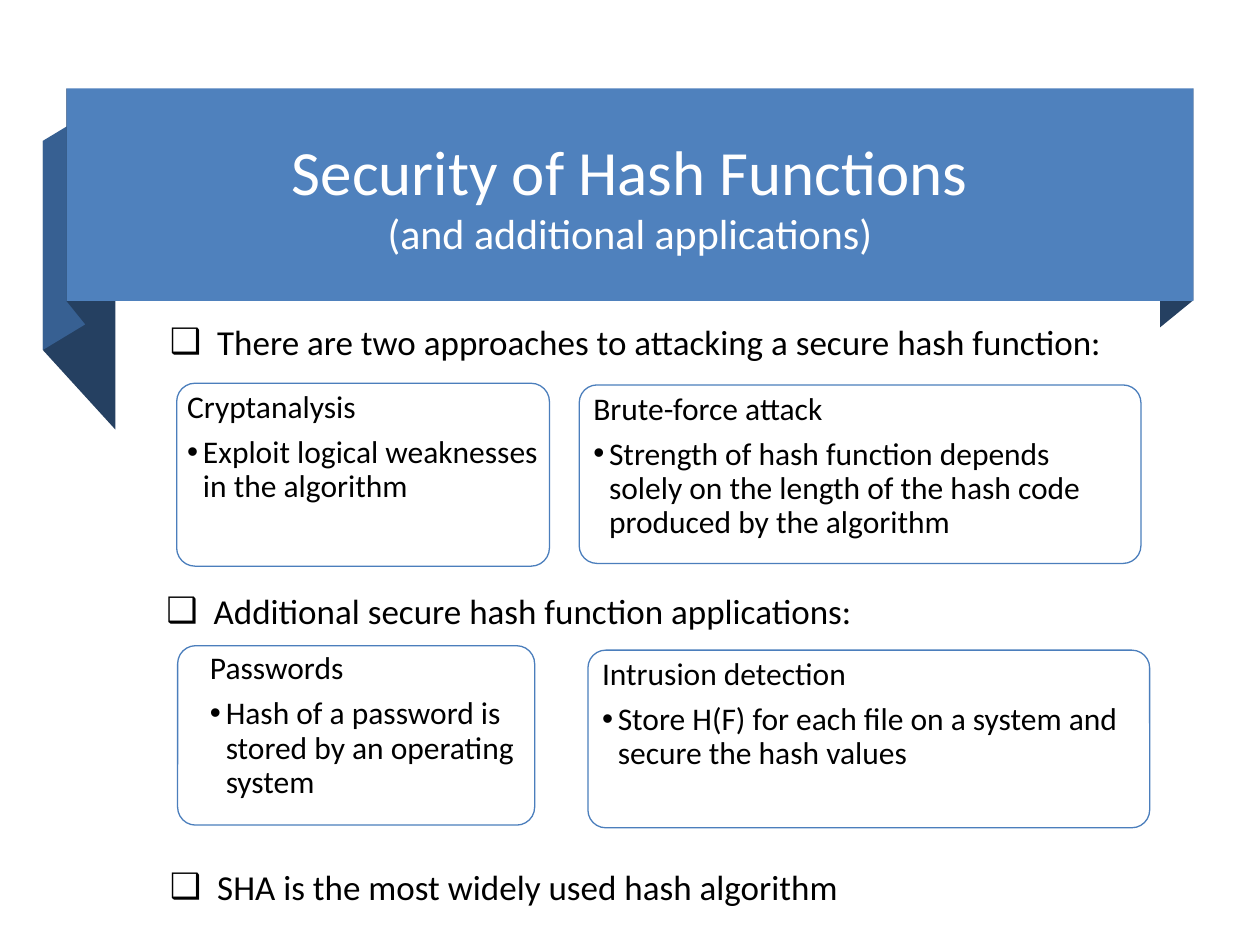
"""Build the slide on the security of hash functions."""
from dataclasses import dataclass

from lxml import etree
from pptx import Presentation
from pptx import util as u
from pptx.dml.color import RGBColor
from pptx.enum import shapes, text
from pptx.oxml.ns import qn


@dataclass(frozen=True)
class Theme:
    """Colours, font and type sizes of the slide."""
    font: str = "Calibri"
    banner: str = "4F81BD"
    fold: str = "376092"
    shade: str = "254061"
    outline: str = "4B7EBC"
    light: str = "FFFFFF"
    ink: str = "000000"
    title: float = 36
    subtitle: float = 24
    lead: float = 20
    card: float = 18


class Deck:
    """Draw styled elements on the current slide."""

    def __init__(self, prs, theme):
        """Keep the theme and add a title-only slide."""
        self.theme = theme
        self.s = prs.slides.add_slide(prs.slide_layouts[5])

    def paint(self, sp, fill, line=None):
        """Give a shape its fill and outline without shadow."""
        sp.shadow.inherit = False
        sp.fill.solid()
        sp.fill.fore_color.rgb = RGBColor.from_string(fill)
        if line:
            sp.line.color.rgb = RGBColor.from_string(line)
            sp.line.width = u.Pt(0.75)
        else:
            sp.line.fill.background()

    def style(self, r, size, color):
        """Set font, size and colour of a run."""
        r.font.name = self.theme.font
        r.font.size = u.Pt(size)
        r.font.color.rgb = RGBColor.from_string(color)

    def bullet(self, p, char, indent):
        """Add a hanging bullet to a paragraph."""
        pPr = p._p.get_or_add_pPr()
        pPr.set("marL", str(u.Pt(indent)))
        pPr.set("indent", str(-u.Pt(indent)))
        etree.SubElement(pPr, qn("a:buFont"), typeface="Arial")
        etree.SubElement(pPr, qn("a:buChar"), char=char)

    def ribbon(self, points, fill):
        """Draw one folded part of the ribbon."""
        path = [(u.Pt(x), u.Pt(y)) for x, y in points]
        builder = self.s.shapes.build_freeform(*path[0])
        builder.add_line_segments(path[1:], close=True)
        self.paint(builder.convert_to_shape(), fill)

    def banner(self, box):
        """Draw the front of the ribbon."""
        sp = self.s.shapes.add_shape(shapes.MSO_SHAPE.RECTANGLE, *map(u.Pt, box))
        self.paint(sp, self.theme.banner)

    def title(self, box, heading, subtitle):
        """Fill the title placeholder and bring it in front of the ribbon."""
        sp = self.s.shapes.title
        sp.left, sp.top, sp.width, sp.height = map(u.Pt, box)
        sp._element.getparent().append(sp._element)
        tf = sp.text_frame
        tf.text = f"{heading}\v{subtitle}"
        tf.auto_size = text.MSO_AUTO_SIZE.NONE
        tf.vertical_anchor = text.MSO_ANCHOR.MIDDLE
        p = tf.paragraphs[0]
        p.alignment = text.PP_ALIGN.CENTER
        for r, size in zip(p.runs, (self.theme.title, self.theme.subtitle)):
            self.style(r, size, self.theme.light)

    def lead(self, box, words):
        """Add a main point with a box bullet."""
        tf = self.s.shapes.add_textbox(*map(u.Pt, box)).text_frame
        tf.word_wrap = True
        tf.auto_size = text.MSO_AUTO_SIZE.SHAPE_TO_FIT_TEXT
        p = tf.paragraphs[0]
        p.text = words
        self.bullet(p, "❑", 27)
        self.style(p.runs[0], self.theme.lead, self.theme.ink)

    def card(self, frame, area, heading, detail):
        """Add a rounded card with a heading and one bullet."""
        group = self.s.shapes.add_group_shape()
        sp = group.shapes.add_shape(shapes.MSO_SHAPE.ROUNDED_RECTANGLE, *map(u.Pt, frame))
        sp.adjustments[0] = 0.1
        self.paint(sp, self.theme.light, self.theme.outline)
        color = sp._element.spPr.find(f"{qn('a:solidFill')}/{qn('a:srgbClr')}")
        etree.SubElement(color, qn("a:alpha"), val="90000")

        tf = group.shapes.add_textbox(*map(u.Pt, area)).text_frame
        tf.word_wrap = True
        tf.margin_left = tf.margin_right = u.Pt(2)
        tf.margin_top = tf.margin_bottom = u.Pt(1.5)
        tf.text = f"{heading}\n{detail}"
        for p, share in zip(tf.paragraphs, (0.35, 0.15)):
            p.line_spacing = 0.9
            p.space_after = u.Pt(self.theme.card * share)
            self.style(p.runs[0], self.theme.card, self.theme.ink)
        p = tf.paragraphs[1]
        p.level = 1
        self.bullet(p, "•", 9)


def main():
    """Compose and save the slide."""
    prs = Presentation()
    prs.slide_width, prs.slide_height = u.Pt(720), u.Pt(540)
    theme = Theme()
    deck = Deck(prs, theme)

    deck.ribbon([(66, 245.5), (24.5, 200), (24.5, 80.5), (66, 126)], theme.shade)
    deck.ribbon([(48.5, 185.5), (24.5, 200), (24.5, 80.5), (48.5, 66)], theme.fold)
    deck.ribbon([(48.5, 185), (38, 172), (38, 50.5), (48.5, 64)], theme.shade)
    deck.ribbon([(682, 171.5), (663, 187), (663, 65.5), (682, 50.5)], theme.shade)
    deck.banner((38, 50.5, 644, 121.5))
    deck.title((57, 63.5, 606, 96), "Security of Hash Functions",
               "(and additional applications)")

    deck.lead((90, 179.5, 562, 31.5),
              "There are two approaches to attacking a secure hash function:")
    deck.card((101, 219, 213, 104.5), (105, 222, 205.5, 98), "Cryptanalysis",
              "Exploit logical weaknesses in the algorithm")
    deck.card((331, 220, 321, 102), (337, 223, 309, 96), "Brute-force attack",
              "Strength of hash function depends solely on the length of the "
              "hash code produced by the algorithm")

    deck.lead((88, 333.5, 465, 31.5), "Additional secure hash function applications:")
    deck.card((101.5, 369, 204, 102.5), (118, 371.5, 196, 102), "Passwords",
              "Hash of a password is stored by an operating system")
    deck.card((336, 371.5, 321, 101.5), (342, 374.5, 309, 98.5), "Intrusion detection",
              "Store H(F) for each file on a system and secure the hash values")

    deck.lead((90, 491, 567, 31.5), "SHA is the most widely used hash algorithm")
    prs.save("out.pptx")


if __name__ == "__main__":
    main()
